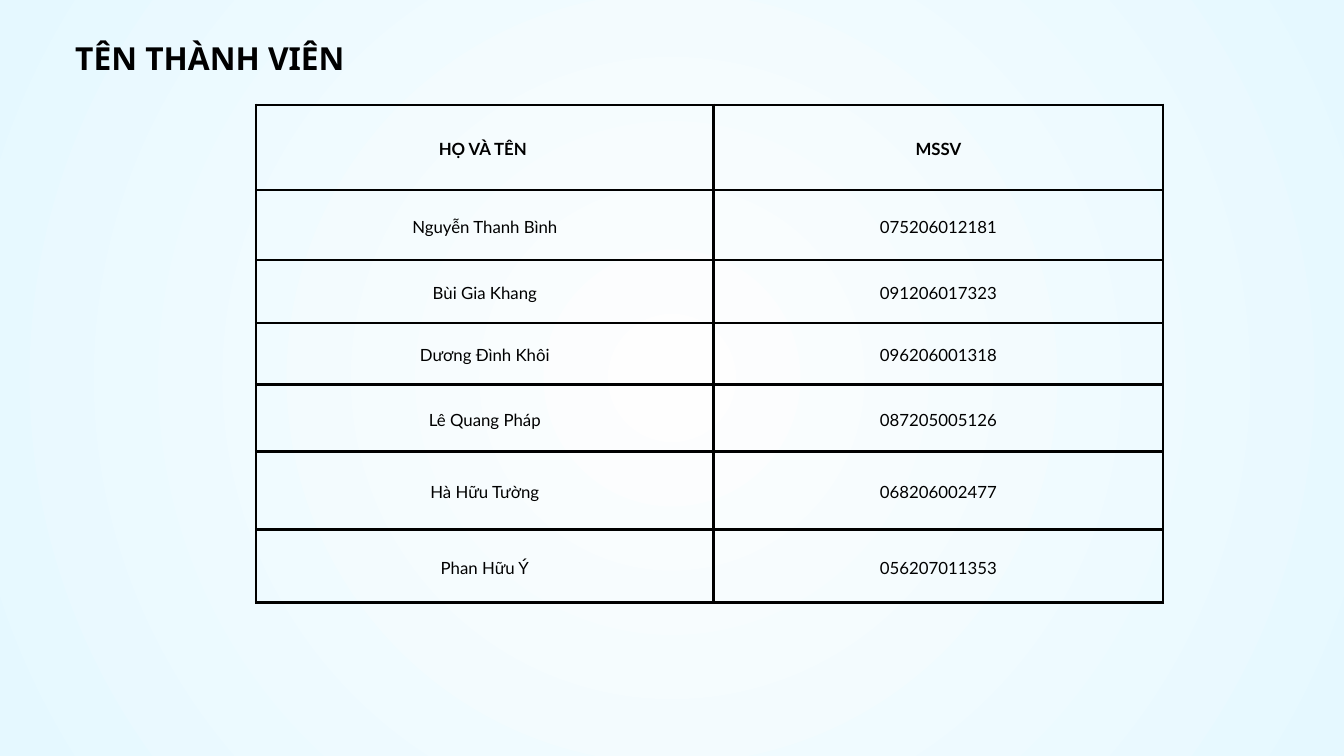
"""Build the slide that lists the team members and their student numbers."""
from pptx import Presentation
from pptx.dml.color import RGBColor
from pptx.enum import text
from pptx.oxml import parse_xml
from pptx.oxml.ns import nsdecls, qn
from pptx.util import Inches, Pt

BLACK = RGBColor(0x00, 0x00, 0x00)
CENTER_WHITE = RGBColor(0xFE, 0xFE, 0xFE)
EDGE_BLUE = RGBColor(0xE5, 0xF8, 0xFF)

COLUMN_WIDTHS = (6.81, 6.69)
ROW_HEIGHTS = (1.27, 1.04, 0.94, 0.91, 1, 1.16, 1.09)
MEMBERS = (
    ("HỌ VÀ TÊN ", "MSSV"),
    ("Nguyễn Thanh Bình", "075206012181"),
    ("Bùi Gia Khang", "091206017323"),
    ("Dương Đình Khôi", "096206001318"),
    ("Lê Quang Pháp", "087205005126"),
    ("Hà Hữu Tường", "068206002477"),
    ("Phan Hữu Ý", "056207011353"),
)
TITLE_FONT = {"name": "Noto Sans", "size": Pt(34), "bold": True}
HEADER_FONT = {"name": "Lato", "size": Pt(18), "bold": True}
BODY_FONT = {**HEADER_FONT, "bold": False}


def set_all(target, values):
    """Set each named attribute of the target."""
    for name, value in values.items():
        setattr(target, name, value)


def paint_background(slide):
    """Fill the slide with a gradient that runs out from its centre."""
    fill = slide.background.fill
    fill.gradient()
    for stop, color in zip(fill.gradient_stops, (CENTER_WHITE, EDGE_BLUE)):
        stop.color.rgb = color
    linear = next(slide.element.iter(qn("a:lin")))
    radial = parse_xml(
        f'<a:path {nsdecls("a")} path="circle">'
        '<a:fillToRect l="50000" t="50000" r="50000" b="50000"/></a:path>'
    )
    linear.getparent().replace(linear, radial)


def write_line(frame, words, font, spacing):
    """Write one centred paragraph into a text frame."""
    para = frame.paragraphs[0]
    set_all(para, {"alignment": text.PP_ALIGN.CENTER, "line_spacing": Pt(spacing)})
    span = para.add_run()
    span.text = words
    set_all(span.font, font)
    span.font.color.rgb = BLACK


def add_title(slide, words):
    """Add the slide title."""
    box = slide.shapes.add_textbox(Inches(1.12), Inches(0.49), Inches(4.13), Inches(0.63))
    margins = dict.fromkeys(("margin_left", "margin_top", "margin_right", "margin_bottom"), 0)
    set_all(box.text_frame, {
        **margins, "word_wrap": True, "auto_size": text.MSO_AUTO_SIZE.SHAPE_TO_FIT_TEXT,
    })
    write_line(box.text_frame, words, TITLE_FONT, 47.6)


def add_borders(cell, points):
    """Draw a solid line on all four sides of a cell."""
    for side in "LRTB":
        cell._tc.get_or_add_tcPr().append(parse_xml(
            f'<a:ln{side} {nsdecls("a")} w="{Pt(points)}"><a:solidFill>'
            f'<a:srgbClr val="{BLACK}"/></a:solidFill></a:ln{side}>'
        ))


def add_member_table(slide):
    """Add the table of names and student numbers."""
    table = slide.shapes.add_table(
        len(ROW_HEIGHTS), len(COLUMN_WIDTHS), Inches(3.81), Inches(1.56),
        Inches(sum(COLUMN_WIDTHS)), Inches(sum(ROW_HEIGHTS)),
    ).table
    set_all(table, {"first_row": False, "horz_banding": False})
    for column, width in zip(table.columns, COLUMN_WIDTHS):
        column.width = Inches(width)
    margins = dict.fromkeys(
        ("margin_left", "margin_top", "margin_right", "margin_bottom"), Inches(0.21)
    )
    for index, (row, height, member) in enumerate(zip(table.rows, ROW_HEIGHTS, MEMBERS)):
        row.height = Inches(height)
        font = BODY_FONT if index else HEADER_FONT
        for cell, words in zip(row.cells, member):
            set_all(cell, {**margins, "vertical_anchor": text.MSO_ANCHOR.MIDDLE})
            add_borders(cell, 3)
            cell.fill.background()
            write_line(cell.text_frame, words, font, 25.2)


def main():
    """Build and save the deck."""
    deck = Presentation()
    set_all(deck, {"slide_width": Inches(20), "slide_height": Inches(11.25)})
    slide = deck.slides.add_slide(deck.slide_layouts[6])
    paint_background(slide)
    add_member_table(slide)
    add_title(slide, "TÊN THÀNH VIÊN ")
    deck.save("out.pptx")


if __name__ == "__main__":
    main()
